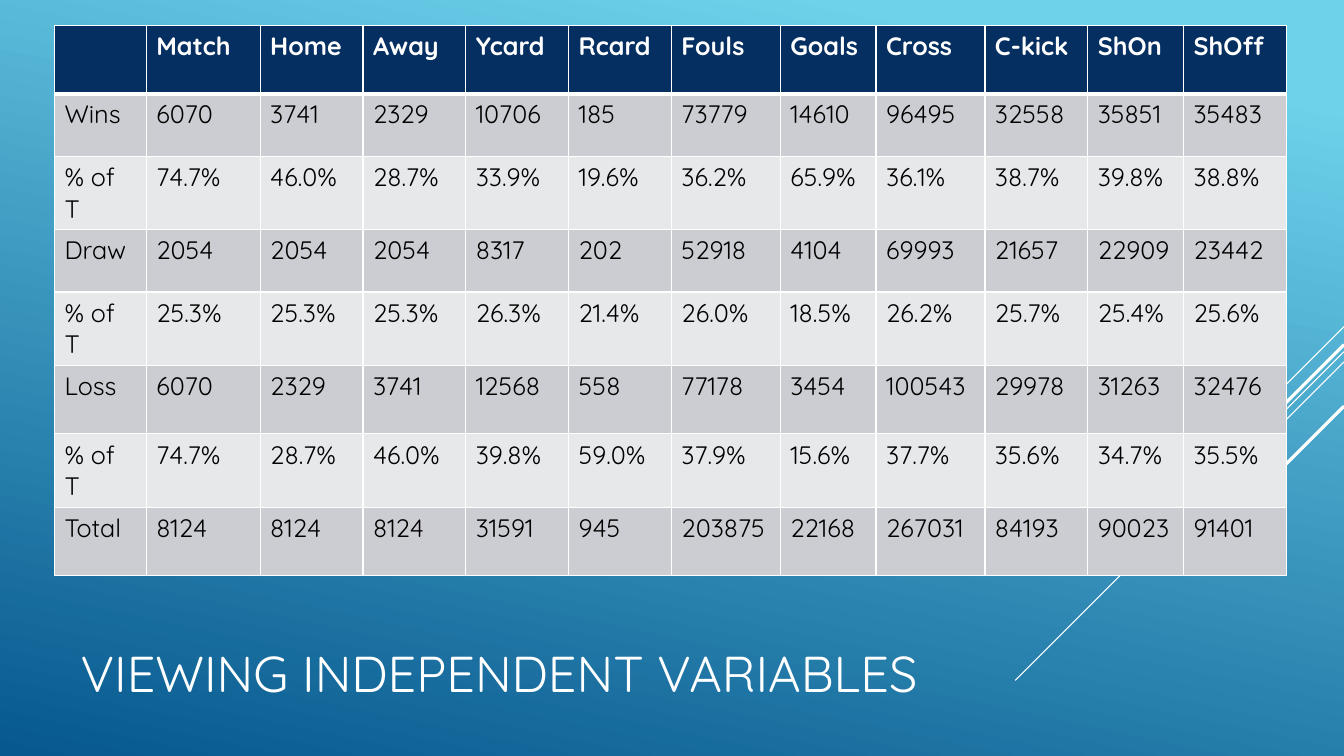
import lxml.etree
import pptx
import pptx.dml.color
import pptx.enum.shapes
import pptx.enum.text
import pptx.oxml
import pptx.oxml.ns
import pptx.util

COLOURS = {"sky": "6ED2EB", "sea": "06588E", "header": "052F61", "dark_band": "CCCDD2",
           "light_band": "E7E8EA", "white": "FFFFFF", "black": "000000"}
FONT = "Quicksand"

deck = pptx.Presentation()
deck.slide_width = pptx.util.Inches(13.33)
deck.slide_height = pptx.util.Inches(7.5)
ACROSS = deck.slide_width / 100  # one percent of the slide's width
DOWN = deck.slide_height / 100  # one percent of the slide's height


def colour(name):
    """Return the named colour as an RGB value."""
    return pptx.dml.color.RGBColor.from_string(COLOURS[name])


def write(box, text, size, ink, bold=False):
    """Put one run of formatted text, aligned left, in a shape or cell."""
    para = box.text_frame.paragraphs[0]
    para.alignment = pptx.enum.text.PP_ALIGN.LEFT
    span = para.add_run()
    span.text = text
    span.font.color.rgb = colour(ink)
    values = {"name": FONT, "size": pptx.util.Pt(size), "bold": bold}
    for key, value in values.items():
        setattr(span.font, key, value)


slide = deck.slides.add_slide(deck.slide_layouts[5])

# Background gradient
backdrop = slide.background.fill
backdrop.gradient()
backdrop.gradient_angle = 258
for stop, (position, name) in zip(backdrop.gradient_stops, [(0.1, "sky"), (1, "sea")]):
    stop.position = position
    stop.color.rgb = colour(name)

# Diagonal rays from the right edge: start and drop in shares of the height, weight in points
rays = [(43.2, 13.33, 0.75), (46.53, 43.47, 0.75), (47.87, 27.6, 0.75),
        (45.6, 25.47, 2.25), (53.73, 18.53, 2.25)]
for start, drop, weight in rays:
    ray = slide.shapes.add_connector(
        pptx.enum.shapes.MSO_CONNECTOR.STRAIGHT,
        deck.slide_width, int(start * DOWN),
        int(deck.slide_width - drop * DOWN), int((start + drop) * DOWN))
    ray.line.color.rgb = colour("white")
    ray.line.width = pptx.util.Pt(weight)
    lxml.etree.SubElement(ray._element.spPr, pptx.oxml.ns.qn("a:effectLst"))

# Title
title = slide.shapes.title
place = {"left": 5.25 * ACROSS, "top": 78 * DOWN, "width": 70 * ACROSS, "height": 22 * DOWN}
for key, value in place.items():
    setattr(title, key, int(value))
frame_format = {"word_wrap": True, "vertical_anchor": pptx.enum.text.MSO_ANCHOR.MIDDLE,
                "auto_size": pptx.enum.text.MSO_AUTO_SIZE.NONE}
for key, value in frame_format.items():
    setattr(title.text_frame, key, value)
write(title, "VIEWING INDEPENDENT VARIABLES", 36, "white")

# Match statistics
headings = ["", "Match", "Home", "Away", "Ycard", "Rcard", "Fouls", "Goals",
            "Cross", "C-kick", "ShOn", "ShOff"]
results = [
    ["Wins", "6070", "3741", "2329", "10706", "185", "73779", "14610",
     "96495", "32558", "35851", "35483"],
    ["% of T", "74.7%", "46.0%", "28.7%", "33.9%", "19.6%", "36.2%", "65.9%",
     "36.1%", "38.7%", "39.8%", "38.8%"],
    ["Draw", "2054", "2054", "2054", "8317", "202", "52918", "4104",
     "69993", "21657", "22909", "23442"],
    ["% of T", "25.3%", "25.3%", "25.3%", "26.3%", "21.4%", "26.0%", "18.5%",
     "26.2%", "25.7%", "25.4%", "25.6%"],
    ["Loss", "6070", "2329", "3741", "12568", "558", "77178", "3454",
     "100543", "29978", "31263", "32476"],
    ["% of T", "74.7%", "28.7%", "46.0%", "39.8%", "59.0%", "37.9%", "15.6%",
     "37.7%", "35.6%", "34.7%", "35.5%"],
    ["Total", "8124", "8124", "8124", "31591", "945", "203875", "22168",
     "267031", "84193", "90023", "91401"],
]
rows = [headings] + results
widths = [6.83, 8.48] + [7.65] * 4 + [8.1, 7.13, 8.1, 7.65, 7.13, 7.65]
heights = [9.07 if number in (0, 5, 7) else 8.27 for number in range(len(rows))]

table = slide.shapes.add_table(
    len(rows), len(headings), int(4.05 * ACROSS), int(3.33 * DOWN),
    int(sum(widths) * ACROSS), int(sum(heights) * DOWN)).table
table.first_row = table.horz_banding = False
for column, width in zip(table.columns, widths):
    column.width = int(width * ACROSS)
for row, height in zip(table.rows, heights):
    row.height = int(height * DOWN)

for number, texts in enumerate(rows):
    is_header = number == 0
    band = "header" if is_header else ("dark_band" if number % 2 else "light_band")
    borders = {"lnL": 1, "lnR": 1, "lnT": 3 if number == 1 else 1, "lnB": 3 if is_header else 1}
    for position, text in enumerate(texts):
        cell = table.cell(number, position)
        cell.fill.solid()
        cell.fill.fore_color.rgb = colour(band)
        if text:
            write(cell, text, 18, "white" if is_header else "black", is_header)
        properties = cell._tc.get_or_add_tcPr()
        for order, (side, weight) in enumerate(borders.items()):
            properties.insert(order, pptx.oxml.parse_xml(
                f'<a:{side} {pptx.oxml.ns.nsdecls("a")} w="{pptx.util.Pt(weight)}">'
                f'<a:solidFill><a:srgbClr val="{COLOURS["white"]}"/></a:solidFill></a:{side}>'))

deck.save("out.pptx")
